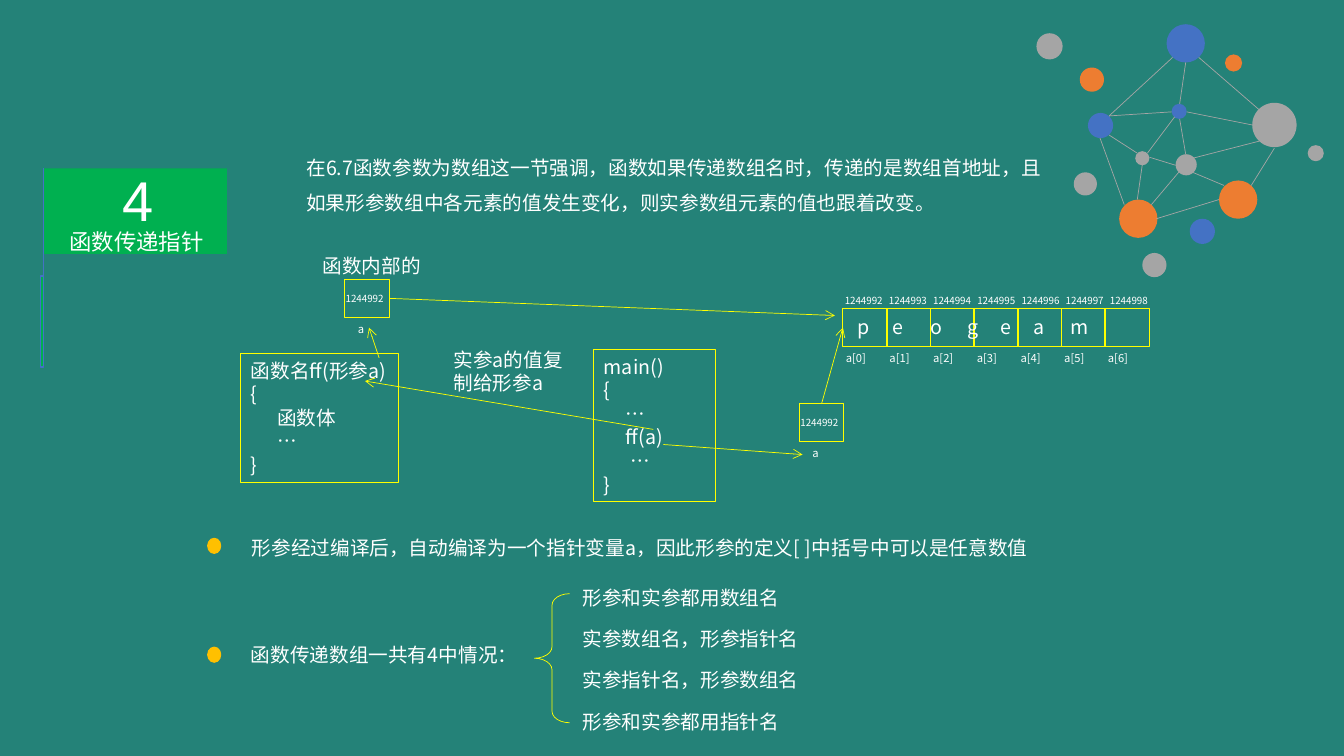
from lxml import etree
from pptx import Presentation
from pptx.dml.color import RGBColor
from pptx.enum.shapes import MSO_CONNECTOR, MSO_SHAPE
from pptx.enum.text import MSO_ANCHOR, PP_ALIGN
from pptx.oxml.ns import qn
from pptx.util import Inches, Pt

RECT = MSO_SHAPE.RECTANGLE
OVAL = MSO_SHAPE.OVAL
BRACE = MSO_SHAPE.LEFT_BRACE
STRAIGHT = MSO_CONNECTOR.STRAIGHT
LEFT, CENTER = PP_ALIGN.LEFT, PP_ALIGN.CENTER
TOP, MIDDLE = MSO_ANCHOR.TOP, MSO_ANCHOR.MIDDLE
TEAL = RGBColor(0x24, 0x82, 0x78)
GREEN = RGBColor(0x00, 0xB0, 0x50)
BLUE = RGBColor(0x44, 0x72, 0xC4)
ORANGE = RGBColor(0xED, 0x7D, 0x31)
GRAY = RGBColor(0xA5, 0xA5, 0xA5)
YELLOW = RGBColor(0xFF, 0xFF, 0x00)
GOLD = RGBColor(0xFF, 0xC0, 0x00)
WHITE = RGBColor(0xFF, 0xFF, 0xFF)
NOTO = "Noto Sans CJK SC"

deck = Presentation()
deck.slide_width, deck.slide_height = Inches(13.33), Inches(7.5)
slide = deck.slides.add_slide(deck.slide_layouts[6])
slide.background.fill.solid()
slide.background.fill.fore_color.rgb = TEAL
shapes = slide.shapes


def draw(kind, at, fill=None, edge=None, width=0.75):
    shape = shapes.add_shape(kind, *map(Inches, at))
    shape.shadow.inherit = False
    if fill is None:
        shape.fill.background()
    else:
        shape.fill.solid()
        shape.fill.fore_color.rgb = fill
    if edge is None:
        shape.line.fill.background()
    else:
        shape.line.color.rgb = edge
        shape.line.width = Pt(width)
    return shape


def write(text, at=None, host=None, size=14, font=NOTO, align=LEFT,
          anchor=TOP, pad=(0.1, 0.05), space=None, dents=(), tabs=()):
    host = host or shapes.add_textbox(*map(Inches, at))
    frame = host.text_frame
    frame.word_wrap = True
    frame.vertical_anchor = anchor
    frame.margin_left = frame.margin_right = Inches(pad[0])
    frame.margin_top = frame.margin_bottom = Inches(pad[1])
    for i, row in enumerate(text.split("\n")):
        para = frame.add_paragraph() if i else frame.paragraphs[0]
        para.alignment = align
        if space:
            para.line_spacing = space
        run = para.add_run()
        run.text = row
        run.font.size = Pt(size)
        run.font.name = font
        run.font.color.rgb = WHITE
        east = etree.SubElement(run.font._element, qn("a:ea"))
        east.set("typeface", NOTO)
        props = para._p.get_or_add_pPr()
        if dents:
            props.set("marL", str(Inches(dents[i])))
        if tabs:
            stops = etree.SubElement(props, qn("a:tabLst"))
            for pos in tabs:
                etree.SubElement(stops, qn("a:tab"), pos=str(Inches(pos)), algn="l")


draw(RECT, (0.4, 2.74, 0.03, 0.9), GREEN, BLUE, 1)
draw(RECT, (0.43, 1.67, 1.82, 0.85), GREEN)
title = dict(font="Arial", align=CENTER, anchor=MIDDLE, pad=(0.14, 0.07), space=1.3)
write("函数传递指针", (0.2, 2.19, 2.31, 0.33), size=16, **title)
write("4", (0.9, 1.59, 0.93, 0.58), size=40, **title)
write("在6.7函数参数为数组这一节强调，函数如果传递数组名时，传递的是数组首地址，"
      "且如果形参数组中各元素的值发生变化，则实参数组元素的值也跟着改变。",
      (2.94, 1.38, 7.58, 0.81), space=1.5)

func = draw(RECT, (2.39, 3.51, 1.56, 1.28), edge=YELLOW)
write("函数名ff(形参a)\n{\n函数体\n…\n}", host=func, dents=(0, 0, 0.26, 0.26, 0))
main = draw(RECT, (5.89, 3.47, 1.21, 1.51), edge=YELLOW)
write("main()\n{\n…\nff(a)\n…\n}", host=main, dents=(0, 0, 0.22, 0.22, 0.26, 0))
write("实参a的值复制给形参a", (4.4, 3.4, 1.35, 0.57))
write("函数内部的", (3.1, 2.47, 1.18, 0.34))

cells = []
for i in range(7):
    x = 8.36 + i * 2.6 / 6
    cells.append(draw(RECT, (x, 3.06, 0.44, 0.38), edge=YELLOW))
    write(str(1244992 + i), (x - 0.08 + i * 0.005, 2.87, 0.75, 0.22), size=7)
    write(f"a[{i}]", (x - 0.07, 3.44, 0.65, 0.24), size=8)
write("p\te\to\tg\te\ta\tm", (8.41, 3.08, 3.14, 0.34),
      tabs=(0.34, 0.72, 1.09, 1.42, 1.74, 2.11))

boxes = []
for x, y in ((7.93, 4), (3.42, 2.77)):
    boxes.append(draw(RECT, (x, y, 0.44, 0.38), edge=YELLOW))
    write("a", (x + 0.03, y + 0.38, 0.65, 0.24), size=8)
    write("1244992", (x - 0.09, y + 0.08, 0.75, 0.22), size=7)
arg, param = boxes

for y in (5.34, 6.42):
    draw(OVAL, (2.06, y, 0.13, 0.15), GOLD, GOLD)
write("形参经过编译后，自动编译为一个指针变量a，因此形参的定义[ ]中括号中可以是任意数值",
      (2.4, 5.27, 7.96, 0.34))
write("函数传递数组一共有4中情况：", (2.39, 6.33, 2.87, 0.34))
brace = draw(BRACE, (5.3, 5.89, 0.35, 1.28), edge=YELLOW, width=0.5)
brace.adjustments[0], brace.adjustments[1] = 0.325, 0.5
cases = ("形参和实参都用数组名", "实参数组名，形参指针名",
         "实参指针名，形参数组名", "形参和实参都用指针名")
for i, case in enumerate(cases):
    write(case, (5.68, 5.76 + i * 0.41, 2.36, 0.34))

dots = (
    (11.57, 0.24, 0.38, BLUE), (11.1, 1.98, 0.38, ORANGE), (11.66, 1.53, 0.21, GRAY),
    (10.79, 1.12, 0.25, BLUE), (12.15, 0.54, 0.17, ORANGE), (12.42, 1.02, 0.44, GRAY),
    (11.62, 1.03, 0.15, BLUE), (12.09, 1.79, 0.38, ORANGE), (11.26, 1.5, 0.14, GRAY),
    (11.8, 2.17, 0.25, BLUE), (10.71, 0.67, 0.24, ORANGE), (10.28, 0.33, 0.26, GRAY),
    (11.33, 2.51, 0.24, GRAY), (10.65, 1.71, 0.23, GRAY), (12.97, 1.44, 0.16, GRAY),
)
for x, y, size, color in dots:
    draw(OVAL, (x, y, size, size), color)

webs = (
    (11.89, 0.57, 12.49, 1.09), (11.83, 1.57, 12.49, 1.4), (12.41, 1.84, 12.64, 1.47),
    (11.42, 2.03, 11.69, 1.71), (11, 1.15, 11.63, 0.57), (11.7, 1.03, 11.76, 0.62),
    (12.42, 1.24, 11.77, 1.11), (11.7, 1.18, 11.76, 1.53), (11.83, 1.71, 12.14, 1.84),
    (11, 1.15, 11.62, 1.11), (10.91, 1.37, 11.15, 2.03), (11, 1.34, 11.28, 1.52),
    (11.38, 1.52, 11.65, 1.16), (11.4, 1.56, 11.66, 1.64), (11.28, 1.98, 11.33, 1.63),
    (11.47, 2.17, 12.09, 1.98),
)
arrows = (
    ((6.48, 4.26, 3.62, 3.78), None, None),
    ((6.58, 4.41, 7.96, 4.51), None, None),
    ((8.15, 4, 8.36, 3.25), (arg, 0), (cells[0], 1)),
    ((3.76, 3.55, 3.66, 3.25), None, None),
    ((3.86, 2.95, 8.28, 3.13), (param, 3), None),
)
lines = [(ends, GRAY, None, None) for ends in webs]
lines += [(ends, YELLOW, start, stop) for ends, start, stop in arrows]
lines.append(((0.43, 3.64, 0.43, 1.67), BLUE, None, None))
for ends, color, start, stop in lines:
    link = shapes.add_connector(STRAIGHT, *map(Inches, ends))
    link.line.color.rgb = color
    link.line.width = Pt(0.5)
    if start:
        link.begin_connect(*start)
    if stop:
        link.end_connect(*stop)
    if color == YELLOW:
        etree.SubElement(link.line._get_or_add_ln(), qn("a:tailEnd"), type="arrow")
    etree.SubElement(link._element.spPr, qn("a:effectLst"))

deck.save("out.pptx")
